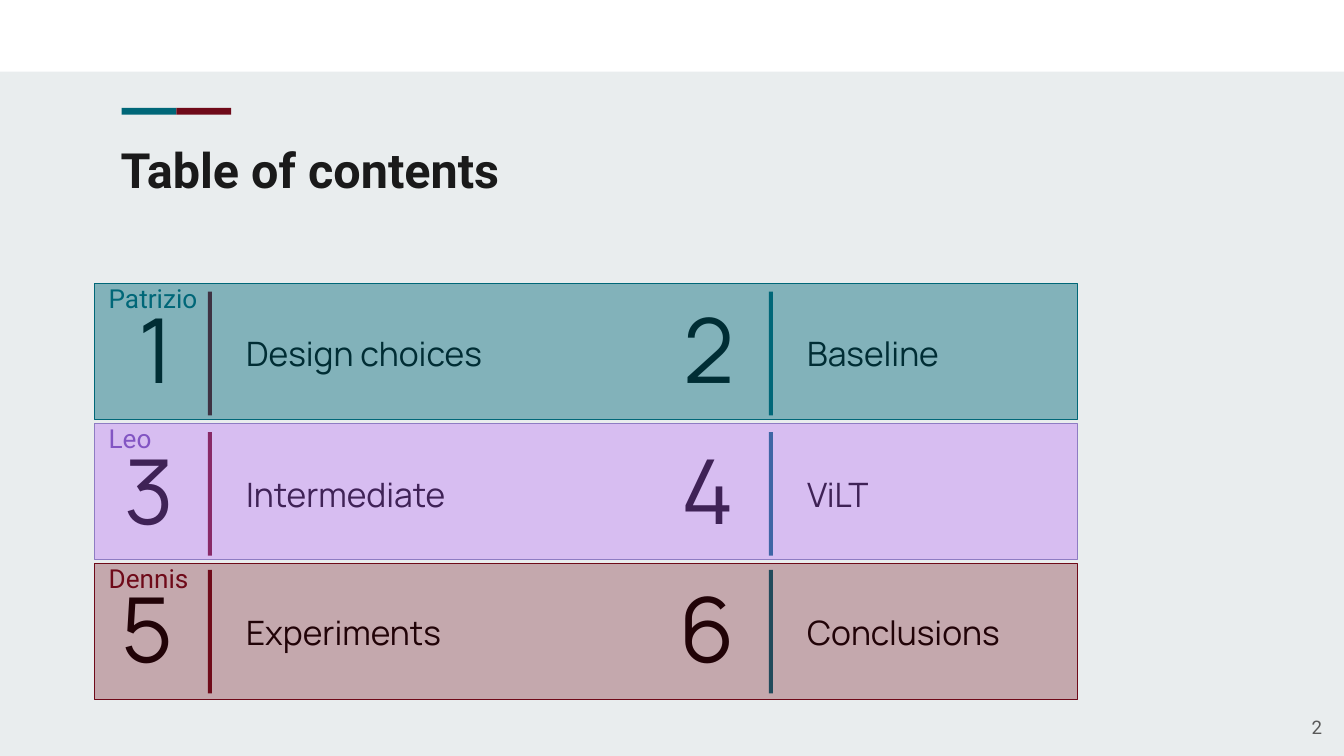
import pptx
import pptx.util
import pptx.dml.color
import pptx.enum.shapes
import pptx.enum.text
import pptx.oxml.ns
import lxml.etree

RGBColor = pptx.dml.color.RGBColor
Align = pptx.enum.text.PP_ALIGN
Anchor = pptx.enum.text.MSO_ANCHOR

WHITE = RGBColor(0xFF, 0xFF, 0xFF)
BACKDROP = RGBColor(0xE9, 0xED, 0xEE)
BLACK = RGBColor(0x00, 0x00, 0x00)
INK = RGBColor(0x1A, 0x1A, 0x1A)
GREY = RGBColor(0x59, 0x59, 0x59)
TEAL = RGBColor(0x00, 0x67, 0x78)
MAROON = RGBColor(0x6F, 0x0A, 0x19)
VIOLET = RGBColor(0x67, 0x4E, 0xA7)
LILAC = RGBColor(0xB7, 0x64, 0xF9)
LAVENDER = RGBColor(0x8E, 0x7C, 0xC3)

# The slide is a 16:9 grid of square cells, 100 columns by 56.25 rows
COLUMNS, ROWS = 100, 56.25
CELL = pptx.util.Inches(0.1)
TOPIC_TOPS = (21.7, 32.15, 42.4)

NUMBER = {"name": "Manrope", "size": pptx.util.Pt(48)}
TOPIC = {"name": "Manrope", "size": pptx.util.Pt(18)}
SPEAKER = {"name": "Roboto", "size": pptx.util.Pt(14)}
HEADING = {"name": "Roboto", "size": pptx.util.Pt(26), "bold": True}
PAGE = {"name": "Roboto", "size": pptx.util.Pt(10)}


class Deck:
    """Holds the slide and draws its elements in grid cells."""

    def __init__(self):
        self.show = pptx.Presentation()
        self.show.slide_width = self.cells(COLUMNS)
        self.show.slide_height = self.cells(ROWS)
        self.slide = self.show.slides.add_slide(self.show.slide_layouts[6])
        backdrop = self.slide.background.fill
        backdrop.solid()
        backdrop.fore_color.rgb = BACKDROP

    def cells(self, count):
        return round(count * CELL)

    def place(self, *grid):
        return [self.cells(count) for count in grid]

    def block(self, grid, color, opacity=None, outline=None):
        block = self.slide.shapes.add_shape(
            pptx.enum.shapes.MSO_SHAPE.RECTANGLE, *self.place(*grid))
        block.shadow.inherit = False
        block.fill.solid()
        block.fill.fore_color.rgb = color
        if opacity is not None:
            tint = block.fill._xPr.find(".//" + pptx.oxml.ns.qn("a:srgbClr"))
            alpha = lxml.etree.SubElement(tint, pptx.oxml.ns.qn("a:alpha"))
            alpha.set("val", str(opacity * 1000))
        if outline is None:
            block.line.fill.background()
        else:
            block.line.color.rgb = outline
            block.line.width = pptx.util.Pt(0.75)

    def text(self, grid, words, style, color, anchor=Anchor.TOP, align=Align.LEFT):
        frame = self.slide.shapes.add_textbox(*self.place(*grid)).text_frame
        inset = self.cells(1)
        layout = {"word_wrap": True, "vertical_anchor": anchor,
                  "margin_left": inset, "margin_right": inset,
                  "margin_top": inset, "margin_bottom": inset}
        for name, value in layout.items():
            setattr(frame, name, value)
        paragraph = frame.paragraphs[0]
        paragraph.alignment = align
        run = paragraph.add_run()
        run.text = words
        for name, value in style.items():
            setattr(run.font, name, value)
        run.font.color.rgb = color


def main():
    deck = Deck()

    # Top strip, two-colour accent, title and page number
    deck.block((0, 0, COLUMNS, 5.33), WHITE)
    for column, color in enumerate((TEAL, MAROON)):
        deck.block((9.05 + 4.08 * column, 8.03, 4.08, 0.5), color)
    deck.text((8, 9.4, 84.1, 5.9), "Table of contents", HEADING, INK)
    deck.text((93.35, 51.95, 6, 4.3), "2", PAGE, GREY, Anchor.MIDDLE, Align.RIGHT)

    # One band per speaker, with two numbered topics each
    speakers = [
        ("Patrizio", TEAL, ("Design choices", "Baseline"), TEAL, 44, TEAL),
        ("Leo", VIOLET, ("Intermediate", "ViLT"), LILAC, 35, LAVENDER),
        ("Dennis", MAROON, ("Experiments", "Conclusions"), MAROON, 30, MAROON),
    ]
    for row, (speaker, ink, topics, tint, opacity, outline) in enumerate(speakers):
        top = TOPIC_TOPS[row]
        band_top = 21.1 + 10.42 * row
        for column, (topic, bar) in enumerate(zip(topics, (MAROON, TEAL))):
            left = 3.8 + 41.75 * column
            number = str(2 * row + column + 1)
            deck.text((left, top, 10.1, 9.2), number, NUMBER, BLACK,
                      Anchor.BOTTOM, Align.RIGHT)
            deck.block((left + 11.67, top, 0.3, 9.2), bar)
            deck.text((left + 13.53, top, 23.4, 9.2), topic, TOPIC, BLACK,
                      Anchor.MIDDLE)
        deck.text((7.1, band_top - 1.1, 10.1, 4.4), speaker, SPEAKER, ink)
        # The translucent band lies over its text
        deck.block((7.03, band_top, 73.15, 10.13), tint, opacity, outline)

    deck.show.save("out.pptx")


if __name__ == "__main__":
    main()
